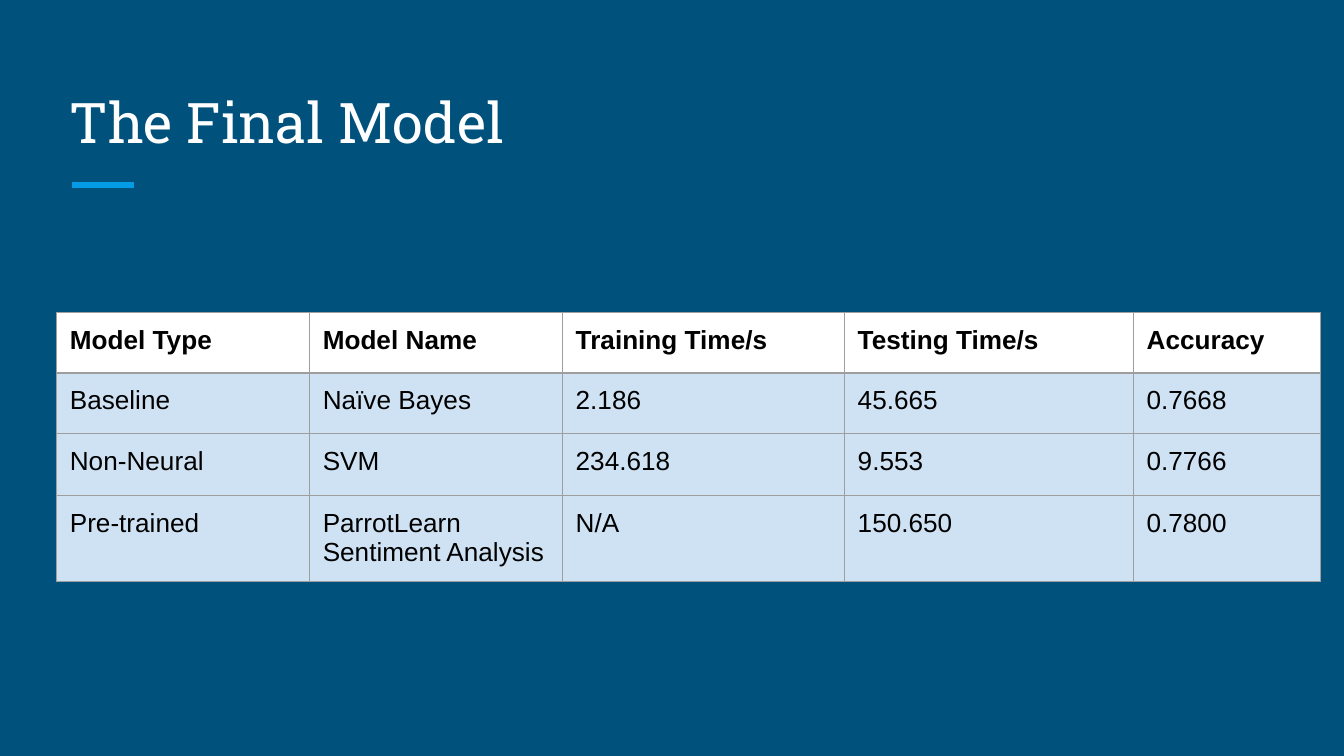
"""Build the final model comparison slide."""
from lxml import etree
from pptx import Presentation
from pptx import util as u
from pptx.dml.color import RGBColor
from pptx.enum import shapes, text
from pptx.oxml.ns import qn

TITLE = "The Final Model"
ROWS = [
    ("Model Type", "Model Name", "Training Time/s", "Testing Time/s", "Accuracy"),
    ("Baseline", "Naïve Bayes", "2.186", "45.665", "0.7668"),
    ("Non-Neural", "SVM", "234.618", "9.553", "0.7766"),
    ("Pre-trained", "ParrotLearn Sentiment Analysis", "N/A", "150.650", "0.7800"),
]
COLUMN_WIDTHS = [4.78, 4.78, 5.33, 5.46, 3.53]
ROW_HEIGHTS = [1.15, 1.15, 1.17, 1.62]
LEFT = 1.07
INSET = u.Cm(0.25)

NAVY = RGBColor(0x00, 0x51, 0x7C)
ACCENT = RGBColor(0x03, 0x9B, 0xE5)
WHITE = RGBColor(0xFF, 0xFF, 0xFF)
BLACK = RGBColor(0x00, 0x00, 0x00)
PALE_BLUE = RGBColor(0xCF, 0xE2, 0xF3)
GREY = RGBColor(0x9E, 0x9E, 0x9E)


def set_insets(box):
    box.margin_left = box.margin_right = INSET
    box.margin_top = box.margin_bottom = INSET


def style_font(paragraph, name, size, color, bold=False):
    for span in paragraph.runs:
        span.font.name = name
        span.font.size = u.Pt(size)
        span.font.bold = bold
        span.font.color.rgb = color


def add_borders(cell):
    properties = cell._tc.get_or_add_tcPr()
    for side in ("lnL", "lnR", "lnT", "lnB"):
        line = etree.SubElement(properties, qn(f"a:{side}"), w=str(u.Pt(0.75)))
        fill = etree.SubElement(line, qn("a:solidFill"))
        etree.SubElement(fill, qn("a:srgbClr"), val=str(GREY))


def add_title(page):
    title = page.shapes.title
    title.left, title.top = u.Cm(LEFT), u.Cm(1.27)
    title.width, title.height = u.Cm(23.24), u.Cm(1.91)
    frame = title.text_frame
    frame.text = TITLE
    frame.word_wrap = True
    frame.auto_size = text.MSO_AUTO_SIZE.NONE
    frame.vertical_anchor = text.MSO_ANCHOR.BOTTOM
    set_insets(frame)
    frame.paragraphs[0].alignment = text.PP_ALIGN.LEFT
    style_font(frame.paragraphs[0], "Roboto Slab", 30, WHITE)


def add_accent(page):
    accent = page.shapes.add_connector(
        shapes.MSO_CONNECTOR.STRAIGHT, u.Cm(1.36), u.Cm(3.5), u.Cm(2.54), u.Cm(3.5))
    accent.line.color.rgb = ACCENT
    accent.line.width = u.Pt(3)
    etree.SubElement(accent._element.spPr, qn("a:effectLst"))


def add_results(page):
    table = page.shapes.add_table(
        len(ROWS), len(COLUMN_WIDTHS), u.Cm(LEFT), u.Cm(5.9),
        u.Cm(sum(COLUMN_WIDTHS)), u.Cm(sum(ROW_HEIGHTS))).table
    for column, width in zip(table.columns, COLUMN_WIDTHS):
        column.width = u.Cm(width)
    for index, (row, height, values) in enumerate(zip(table.rows, ROW_HEIGHTS, ROWS)):
        row.height = u.Cm(height)
        header = index == 0
        for cell, value in zip(row.cells, values):
            cell.text = value
            set_insets(cell)
            add_borders(cell)
            cell.fill.solid()
            cell.fill.fore_color.rgb = WHITE if header else PALE_BLUE
            style_font(cell.text_frame.paragraphs[0], "Arial", 14, BLACK, header)


def main():
    deck = Presentation()
    deck.slide_width, deck.slide_height = u.Cm(25.4), u.Cm(14.29)
    page = deck.slides.add_slide(deck.slide_layouts.get_by_name("Title Only"))
    page.background.fill.solid()
    page.background.fill.fore_color.rgb = NAVY
    add_accent(page)
    add_title(page)
    add_results(page)
    deck.save("out.pptx")


if __name__ == "__main__":
    main()
